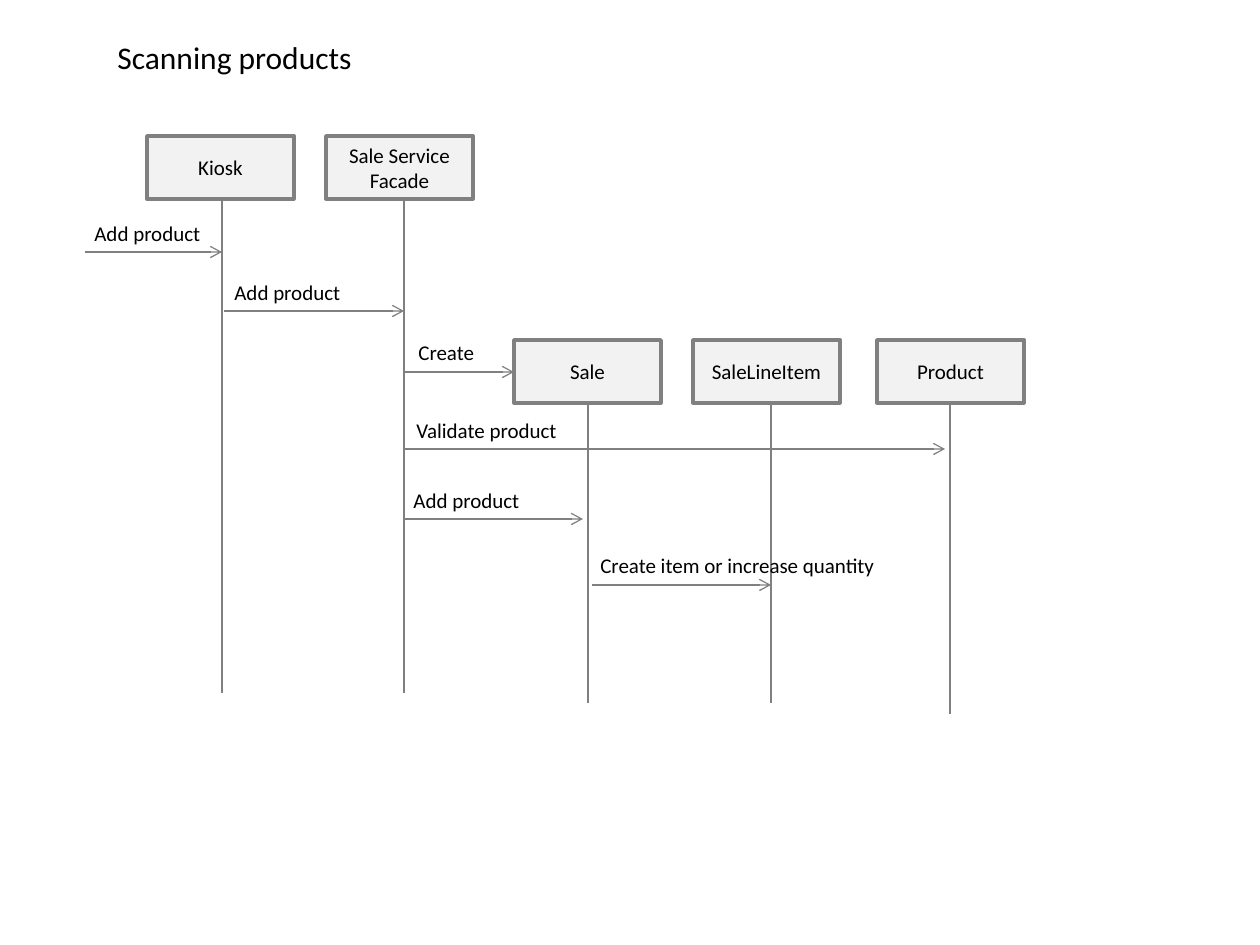
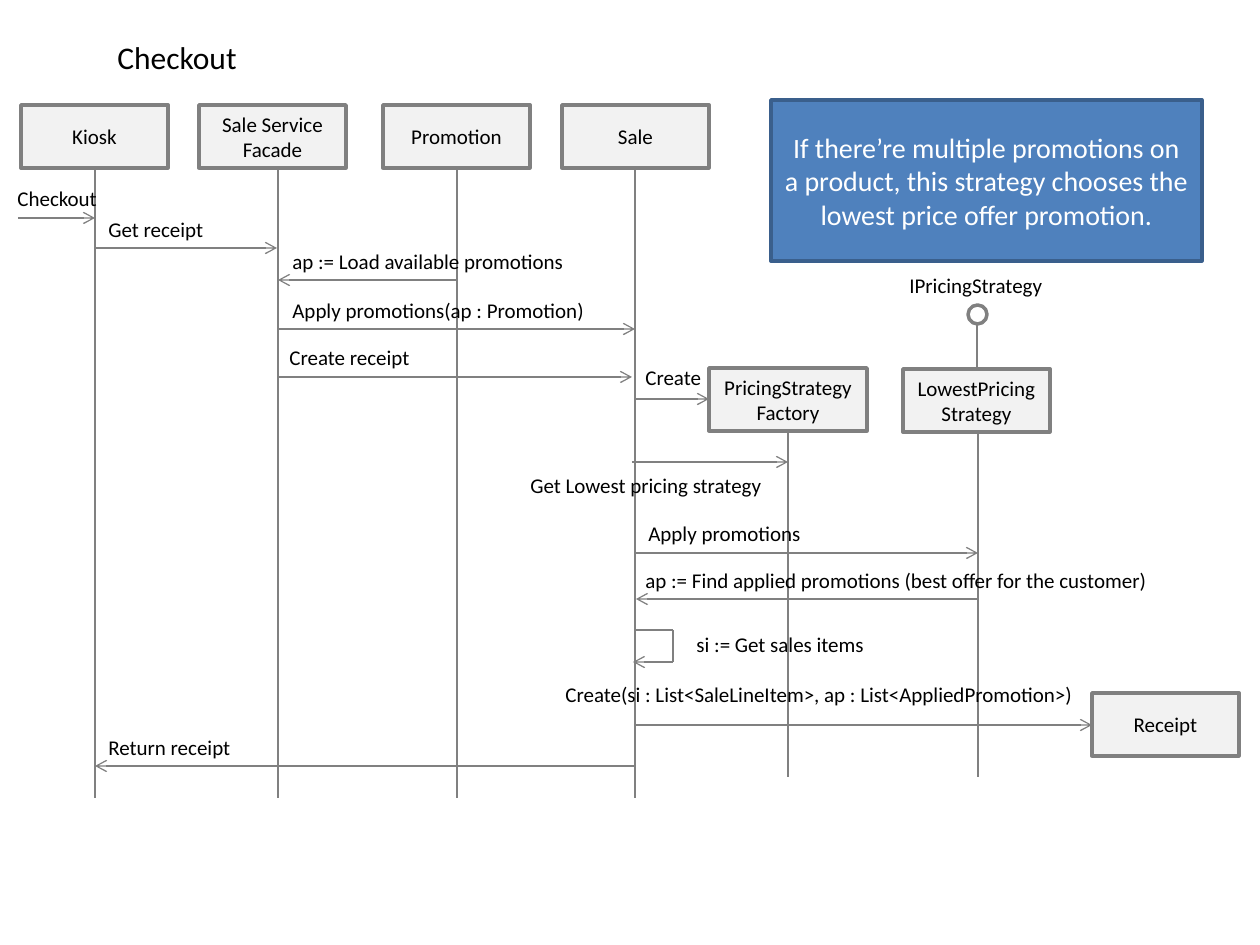
from lxml import etree
from pptx import Presentation
from pptx.dml.color import RGBColor
from pptx.enum import shapes, text
from pptx.oxml import ns
from pptx.util import Emu, Pt

PX_PER_INCH = 126
EMU_PER_PX = 914400 / PX_PER_INCH

FONT = "Calibri"
BLACK = RGBColor(0x00, 0x00, 0x00)
WHITE = RGBColor(0xFF, 0xFF, 0xFF)
GRAY = RGBColor(0x80, 0x80, 0x80)
LIGHT_GRAY = RGBColor(0xF2, 0xF2, 0xF2)
BLUE = RGBColor(0x4F, 0x81, 0xBD)
DARK_BLUE = RGBColor(0x3A, 0x5F, 0x8C)

BOX_WIDTH, BOX_HEIGHT = 147, 63
LABEL_HEIGHT = 38

# name, box left, box top, box width, lifeline x, lifeline bottom
SCANNING_PARTICIPANTS = [
    ("Kiosk", 147, 136, BOX_WIDTH, 222, 693),
    ("Sale Service\nFacade", 326, 136, BOX_WIDTH, 404, 693),
    ("Sale", 514, 340, BOX_WIDTH, 588, 703),
    ("SaleLineItem", 693, 340, BOX_WIDTH, 771, 703),
    ("Product", 877, 340, BOX_WIDTH, 950, 714),
]
CHECKOUT_PARTICIPANTS = [
    ("Kiosk", 21, 105, BOX_WIDTH, 95, 798),
    ("Sale Service\nFacade", 199, 105, BOX_WIDTH, 278, 798),
    ("Promotion", 383, 105, BOX_WIDTH, 457, 798),
    ("Sale", 562, 105, BOX_WIDTH, 635, 798),
    ("PricingStrategyFactory", 709, 368, 158, 788, 777),
    ("LowestPricingStrategy", 903, 369, BOX_WIDTH, 978, 777),
]

# text, arrow start x, arrow end x, arrow y, label left, label width, label top
SCANNING_MESSAGES = [
    ("Add product", 85, 222, 252, 82, 132, 214),
    ("Add product", 224, 404, 311, 222, 132, 273),
    ("Create", 404, 514, 372, 406, 82, 333),
    ("Validate product", 404, 945, 449, 404, 166, 411),
    ("Add product", 404, 583, 519, 401, 132, 481),
    ("Create item or increase quantity", 592, 771, 585, 588, 302, 546),
]
CHECKOUT_MESSAGES = [
    ("Checkout", 18, 95, 218, 5, 106, 179),
    ("Get receipt", 95, 277, 248, 96, 121, 210),
    ("ap := Load available promotions", 457, 278, 280, 280, 300, 242),
    ("Apply promotions(ap : Promotion)", 278, 635, 329, 280, 320, 291),
    ("Create receipt", 278, 632, 377, 277, 146, 338),
    ("Create", 635, 709, 399, 633, 82, 358),
    ("Get Lowest pricing strategy", 632, 788, 462, 518, 260, 466),
    ("Apply promotions", 635, 978, 553, 636, 179, 514),
    ("ap := Find applied promotions (best offer for the customer)",
     978, 636, 599, 633, 533, 561),
    ("Create(si : List<SaleLineItem>, ap : List<AppliedPromotion>)",
     634, 1092, 725, 553, 538, 675),
    ("Return receipt", 635, 95, 766, 96, 149, 728),
]


def px(*lengths):
    return [Emu(round(length * EMU_PER_PX)) for length in lengths]


def style_text(frame, content, size, color, alignment):
    frame.text = content
    for paragraph in frame.paragraphs:
        paragraph.alignment = alignment
        paragraph.font.name = FONT
        paragraph.font.size = Pt(size)
        paragraph.font.color.rgb = color


def add_label(slide, content, left, top, width, height=LABEL_HEIGHT, size=12):
    frame = slide.shapes.add_textbox(*px(left, top, width, height)).text_frame
    frame.word_wrap = False
    frame.auto_size = text.MSO_AUTO_SIZE.SHAPE_TO_FIT_TEXT
    style_text(frame, content, size, BLACK, text.PP_ALIGN.LEFT)


def add_outlined(slide, kind, bounds, fill, outline):
    shape = slide.shapes.add_shape(kind, *px(*bounds))
    shape.shadow.inherit = False
    shape.fill.solid()
    shape.fill.fore_color.rgb = fill
    shape.line.color.rgb = outline
    shape.line.width = Pt(2)
    return shape


def add_box(slide, content, bounds, fill=LIGHT_GRAY, outline=GRAY,
            color=BLACK, size=12):
    shape = add_outlined(slide, shapes.MSO_SHAPE.RECTANGLE, bounds, fill, outline)
    frame = shape.text_frame
    frame.word_wrap = True
    frame.vertical_anchor = text.MSO_ANCHOR.MIDDLE
    style_text(frame, content, size, color, text.PP_ALIGN.CENTER)


def add_line(slide, start_x, start_y, end_x, end_y, arrow=False):
    connector = slide.shapes.add_connector(
        shapes.MSO_CONNECTOR.STRAIGHT, *px(start_x, start_y, end_x, end_y))
    connector.line.color.rgb = GRAY
    connector.line.width = Pt(0.75)
    properties = connector._element.spPr
    if arrow:
        outline = properties.find(ns.qn("a:ln"))
        etree.SubElement(outline, ns.qn("a:tailEnd"), type="arrow")
    etree.SubElement(properties, ns.qn("a:effectLst"))


def add_participant(slide, name, left, top, width, lifeline_x, lifeline_bottom):
    add_box(slide, name, (left, top, width, BOX_HEIGHT))
    add_line(slide, lifeline_x, top + BOX_HEIGHT, lifeline_x, lifeline_bottom)


def add_message(slide, content, start, end, y, label_left, label_width, label_top):
    add_line(slide, start, y, end, y, arrow=True)
    add_label(slide, content, label_left, label_top, label_width)


def add_self_call(slide, content, lifeline_x, top, label_left, label_width):
    """Draw a message that leaves a lifeline and loops back to it."""
    right, bottom = lifeline_x + 38, top + 32
    add_line(slide, lifeline_x, top, right, top)
    add_line(slide, right, top, right, bottom)
    add_line(slide, right, bottom, lifeline_x - 2, bottom, arrow=True)
    add_label(slide, content, label_left, top - 5, label_width)


def add_interface(slide, name, center_x, top, stem_bottom):
    """Draw a named lollipop whose stem ends on the implementing box."""
    diameter = 19
    circle_top = top + 39
    add_outlined(slide, shapes.MSO_SHAPE.OVAL,
                 (center_x - 9, circle_top, diameter, diameter), WHITE, GRAY)
    add_line(slide, center_x, circle_top + diameter, center_x, stem_bottom)
    add_label(slide, name, center_x - 80, top, 159)


def add_sequence_slide(presentation, title, title_width, participants, messages):
    slide = presentation.slides.add_slide(presentation.slide_layouts[6])
    add_label(slide, title, 105, 32, title_width, 50, size=18)
    for participant in participants:
        add_participant(slide, *participant)
    for message in messages:
        add_message(slide, *message)
    return slide


def main():
    presentation = Presentation()
    presentation.slide_width, presentation.slide_height = px(1260, 945)

    add_sequence_slide(presentation, "Scanning products", 262,
                       SCANNING_PARTICIPANTS, SCANNING_MESSAGES)

    checkout = add_sequence_slide(presentation, "Checkout", 146,
                                  CHECKOUT_PARTICIPANTS, CHECKOUT_MESSAGES)
    add_box(checkout, "Receipt", (1092, 693, BOX_WIDTH, BOX_HEIGHT))
    add_self_call(checkout, "si := Get sales items", 635, 630, 684, 195)
    add_interface(checkout, "IPricingStrategy", 977, 266, 369)
    add_box(checkout,
            "If there’re multiple promotions on a product, this strategy "
            "chooses the lowest price offer promotion.",
            (771, 100, 431, 161), BLUE, DARK_BLUE, WHITE, 16)

    presentation.save("out.pptx")


if __name__ == "__main__":
    main()
